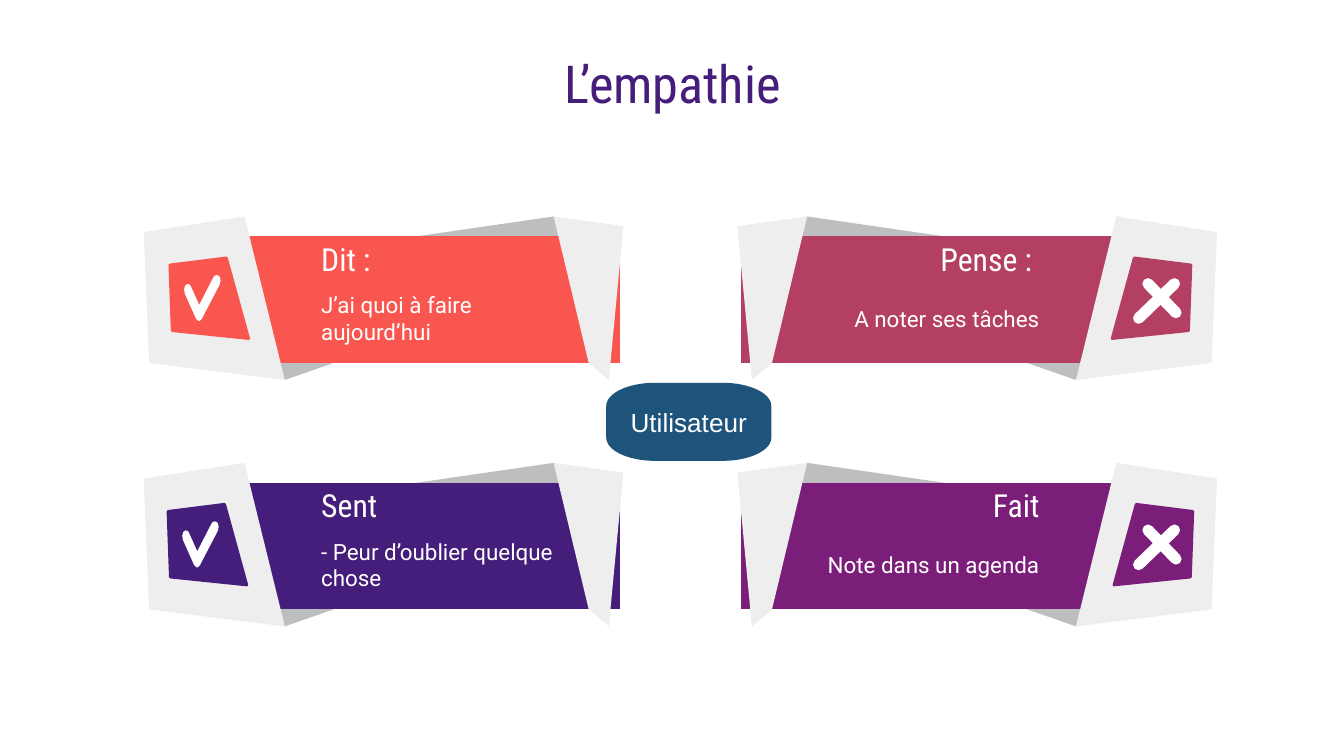
from math import cos, radians, sin
from lxml.etree import SubElement
from pptx import Presentation
from pptx.dml.color import RGBColor
from pptx.enum.text import MSO_ANCHOR as Anchor, MSO_AUTO_SIZE as AutoSize, PP_ALIGN as Align
from pptx.enum.shapes import MSO_CONNECTOR as Connector
from pptx.oxml.ns import qn
from pptx.util import Pt

COLORS = {
    "title": "451E7B",
    "white": "FFFFFF",
    "shade": "BCBEC0",
    "paper": "EEEEEE",
    "user": "1E547B",
    "coral": "F9564F",
    "indigo": "451E7B",
    "rose": "B33F62",
    "purple": "7B1E7A",
}
ROW_PITCH = 132
MIRROR_SUM = 729

BACK = [(296.6, 116), (122.4, 141.3), (152.6, 203.6), (217.4, 181), (322.6, 137.7)]
BAND = [(80, 126.7), (80, 194.5), (332, 194.5), (332, 126.7)]
FOLD = [(296.6, 116), (315.4, 194.5), (326.2, 203.6), (334, 121.2)]
FLAP = [(131, 116), (77, 124.4), (79.9, 194.5), (152.6, 203.6)]
BADGE = [(121.3, 138.2), (91, 142), (92.3, 177.2), (133.2, 181.4)]
TICK = [(116.2, 147.7), (115.2, 148), (114.5, 149), (106.7, 164.2), (102.2, 154.2),
        (101.5, 152.9), (100.5, 152.5), (99.5, 153.3), (99, 155), (99.3, 157),
        (105.3, 170.5), (106.6, 171.7), (107.8, 170.6), (117.3, 152.4), (117.8, 150.2),
        (117.3, 148.3)]
CROSS = [((119, 170.5), (99.8, 152)), ((99, 167.5), (114, 152))]


def rgb(name):
    return RGBColor.from_string(COLORS[name])


def set_line(shape, color, width):
    shape.line.color.rgb = rgb(color)
    shape.line.width = Pt(width)
    outline = shape.line._get_or_add_ln()
    outline.set("cap", "rnd")
    SubElement(outline, qn("a:round"))


def add_outline(shapes, points, color, line_width=0):
    corners = [(Pt(x), Pt(y)) for x, y in points]
    builder = shapes.build_freeform(*corners[0], scale=1.0)
    builder.add_line_segments(corners[1:], close=True)
    shape = builder.convert_to_shape()
    shape.shadow.inherit = False
    shape.fill.solid()
    shape.fill.fore_color.rgb = rgb(color)
    if line_width:
        set_line(shape, color, line_width)
    else:
        shape.line.fill.background()
    return shape


def add_stroke(shapes, start, end, color, width):
    stroke = shapes.add_connector(Connector.STRAIGHT, *(Pt(value) for value in start + end))
    set_line(stroke, color, width)
    SubElement(stroke._element.spPr, qn("a:effectLst"))


def write_text(shape, text, font_name, size, color, align):
    frame = shape.text_frame
    frame.word_wrap = True
    frame.auto_size = AutoSize.NONE
    frame.vertical_anchor = Anchor.MIDDLE
    frame.margin_left = frame.margin_right = frame.margin_top = frame.margin_bottom = Pt(7.2)
    paragraph = frame.paragraphs[0]
    paragraph.text = text
    paragraph.alignment = align
    font = paragraph.font
    font.name, font.size, font.color.rgb = font_name, Pt(size), rgb(color)


def add_label(shapes, left, top, height, text, font_name, size, align):
    box = shapes.add_textbox(Pt(left), Pt(top), Pt(151.2), Pt(height))
    write_text(box, text, font_name, size, "white", align)


def add_ribbon(slide, column, row, color, heading, body, body_height):
    shapes = slide.shapes.add_group_shape().shapes

    def place(points, shift=0):
        placed = [(x + shift, y + row * ROW_PITCH) for x, y in points]
        return [(MIRROR_SUM - x, y) for x, y in placed] if column else placed

    for points, fill in ((BACK, "shade"), (BAND, color), (FOLD, "paper"), (FLAP, "paper")):
        add_outline(shapes, place(points), fill)
    left = 412.8 if column else 165
    align = Align.RIGHT if column else Align.LEFT
    offset = row * ROW_PITCH
    add_label(shapes, left, 170.4 - body_height / 2 + offset, body_height,
              body, "Roboto", 12, align)
    add_label(shapes, left, 124.8 + offset, 27.4, heading, "Roboto Condensed", 17, align)
    add_outline(shapes, place(BADGE, -row), color, 1.5)
    if column:
        for ends in CROSS:
            add_stroke(shapes, *place(ends), "white", 6)
    else:
        add_outline(shapes, place(TICK, -row), "white", 0.75)


def add_user(slide):
    left, top, width, height = 324.8, 205.1, 88.5, 41.8
    radius_x, radius_y = 26, 12.5
    points = []
    for quarter, (side_x, side_y) in enumerate(((1, 1), (-1, 1), (-1, -1), (1, -1))):
        center_x = left + width / 2 + side_x * (width / 2 - radius_x)
        center_y = top + height / 2 + side_y * (height / 2 - radius_y)
        for step in range(0, 91, 6):
            angle = radians(quarter * 90 + step)
            points.append((center_x + radius_x * cos(angle), center_y + radius_y * sin(angle)))
    shape = add_outline(slide.shapes, points, "user")
    write_text(shape, "Utilisateur", "Arial", 14, "white", Align.CENTER)


def add_title(slide):
    title = slide.shapes.title
    title.left, title.top, title.width, title.height = Pt(56), Pt(25.4), Pt(608.4), Pt(38.2)
    write_text(title, "L’empathie", "Roboto Condensed", 28, "title", Align.CENTER)


def main():
    presentation = Presentation()
    presentation.slide_width, presentation.slide_height = Pt(720), Pt(405)
    slide = presentation.slides.add_slide(presentation.slide_layouts[5])
    add_title(slide)
    ribbons = [
        (0, 0, "coral", "Dit :", "J’ai quoi à faire aujourd’hui", 48.2),
        (0, 1, "indigo", "Sent", "- Peur d’oublier quelque chose", 27.4),
        (1, 0, "rose", "Pense : ", "A noter ses tâches", 27.4),
        (1, 1, "purple", "Fait", "Note dans un agenda", 27.4),
    ]
    for ribbon in ribbons:
        add_ribbon(slide, *ribbon)
    add_user(slide)
    presentation.save("out.pptx")


main()
